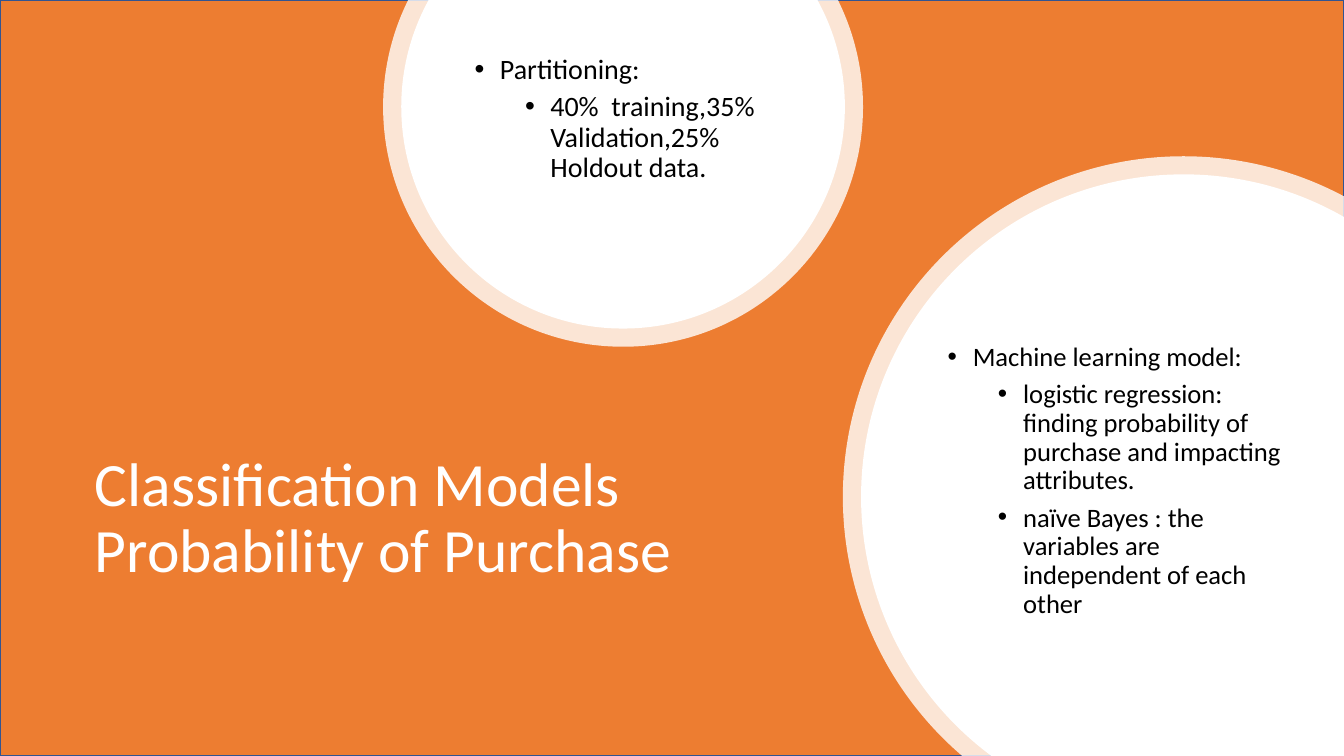
"""Build the slide on classification models with two cropped circles."""
import math

import pptx
import pptx.dml.color
import pptx.enum.shapes
import pptx.enum.text
import pptx.oxml.ns
import pptx.util
from lxml import etree

Inches = pptx.util.Inches
Pt = pptx.util.Pt
qn = pptx.oxml.ns.qn
WIDTH, HEIGHT = 13.33, 7.5


def color(value):
    return pptx.dml.color.RGBColor.from_string(value)


class SlideBuilder:
    font = "Calibri"
    orange, blue, white, black = "ED7D31", "325491", "FFFFFF", "000000"

    def __init__(self, prs):
        self.slide = prs.slides.add_slide(prs.slide_layouts[5])
        self.shapes = self.slide.shapes

    def backdrop(self):
        sp = self.shapes.add_shape(pptx.enum.shapes.MSO_SHAPE.RECTANGLE,
                                   0, 0, Inches(WIDTH), Inches(HEIGHT))
        sp.shadow.inherit = False
        sp.fill.solid()
        sp.fill.fore_color.rgb = color(self.orange)
        sp.line.color.rgb = color(self.blue)
        sp.line.width = Pt(1)
        self.shapes.title._element.addprevious(sp._element)

    def frame(self, sp, bottom=0.05):
        tf = sp.text_frame
        tf.word_wrap = True
        tf.auto_size = pptx.enum.text.MSO_AUTO_SIZE.NONE
        tf.vertical_anchor = pptx.enum.text.MSO_ANCHOR.MIDDLE
        tf.margin_bottom = Inches(bottom)
        return tf

    def style(self, p, size, fill):
        p.alignment = pptx.enum.text.PP_ALIGN.LEFT
        p.line_spacing = 0.9
        p.font.name = self.font
        p.font.size = Pt(size)
        p.font.color.rgb = color(fill)

    def title(self, text, x, y, w, h):
        sp = self.shapes.title
        sp.left, sp.top, sp.width, sp.height = map(Inches, (x, y, w, h))
        tf = self.frame(sp)
        tf.text = text
        self.style(tf.paragraphs[0], 44, self.white)

    def cropped_circle(self, cx, cy, radius, start, end, corners=(), opacity=100):
        quarter = math.pi / 2
        inner = [i * quarter for i in range(5) if start < i * quarter < end]
        angles = [start, *inner, end]

        def point(angle, pull=0):
            x = cx + radius * (math.cos(angle) - pull * math.sin(angle))
            y = cy + radius * (math.sin(angle) + pull * math.cos(angle))
            return Inches(x), Inches(y)

        anchors = [point(a) for a in angles]
        anchors += [(Inches(x), Inches(y)) for x, y in corners]
        builder = self.shapes.build_freeform(*anchors[0])
        builder.add_line_segments(anchors[1:], close=True)
        sp = builder.convert_to_shape()
        lines = list(sp._element.iter(qn("a:lnTo")))
        for line, a, b in zip(lines, angles, angles[1:]):
            pull = 4 / 3 * math.tan((b - a) / 4)
            curve = etree.Element(qn("a:cubicBezTo"))
            for x, y in (point(a, pull), point(b, -pull)):
                etree.SubElement(curve, qn("a:pt"),
                                 x=str(x - sp.left), y=str(y - sp.top))
            line.addprevious(curve)
            curve.append(line[0])
            line.getparent().remove(line)
        sp.shadow.inherit = False
        sp.line.fill.background()
        sp.fill.solid()
        sp.fill.fore_color.rgb = color(self.white)
        if opacity < 100:
            clr = sp._element.spPr.find(".//" + qn("a:srgbClr"))
            etree.SubElement(clr, qn("a:alpha"), val=str(opacity * 1000))

    def bullets(self, items, x, y, w, h, size, indent, before=(0, 0), after=0):
        tf = self.frame(self.shapes.add_textbox(*map(Inches, (x, y, w, h))), 0.42)
        for i, (level, text) in enumerate(items):
            p = tf.add_paragraph() if i else tf.paragraphs[0]
            p.text = text
            p.level = level
            self.style(p, size, self.black)
            p.space_before = Pt(before[level])
            p.space_after = Pt(after)
            pPr = p._p.get_or_add_pPr()
            pPr.set("marL", str(Inches(indent + 0.5 * level)))
            pPr.set("indent", str(Inches(-0.25)))
            bu_font = etree.Element(qn("a:buFont"), typeface="Arial")
            bu_char = etree.Element(qn("a:buChar"), char="•")
            pPr.find(qn("a:defRPr")).addprevious(bu_font)
            bu_font.addnext(bu_char)


def main():
    prs = pptx.Presentation()
    prs.slide_width, prs.slide_height = Inches(WIDTH), Inches(HEIGHT)
    s = SlideBuilder(prs)
    s.backdrop()
    s.title("Classification Models Probability of Purchase", 0.84, 3.83, 6.62, 2.65)
    for inset, opacity in ((0, 80), (0.18, 100)):
        cx, cy, radius = 6.18, 1.06, 2.38 - inset
        top = math.asin(cy / radius)
        s.cropped_circle(cx, cy, radius, -top, math.pi + top, opacity=opacity)
        cx, cy, radius = 11.74, 4.93, 3.38 - inset
        bottom = math.pi - math.asin((HEIGHT - cy) / radius)
        right = 2 * math.pi - math.acos((WIDTH - cx) / radius)
        s.cropped_circle(cx, cy, radius, bottom, right, [(WIDTH, HEIGHT)], opacity)
    s.bullets([(0, "Partitioning:"),
               (1, "40%  training,35% Validation,25% Holdout data.")],
              4.61, 0.39, 3.15, 1.96, size=20, indent=0.25, before=(10, 5))
    s.bullets([(0, "Machine learning model:"),
               (1, "logistic regression: finding probability of purchase "
                   "and impacting attributes."),
               (1, "naïve Bayes : the variables are independent of each other")],
              9.17, 3.44, 3.8, 3.04, size=19, indent=0.38, after=6)
    prs.save("out.pptx")


if __name__ == "__main__":
    main()
